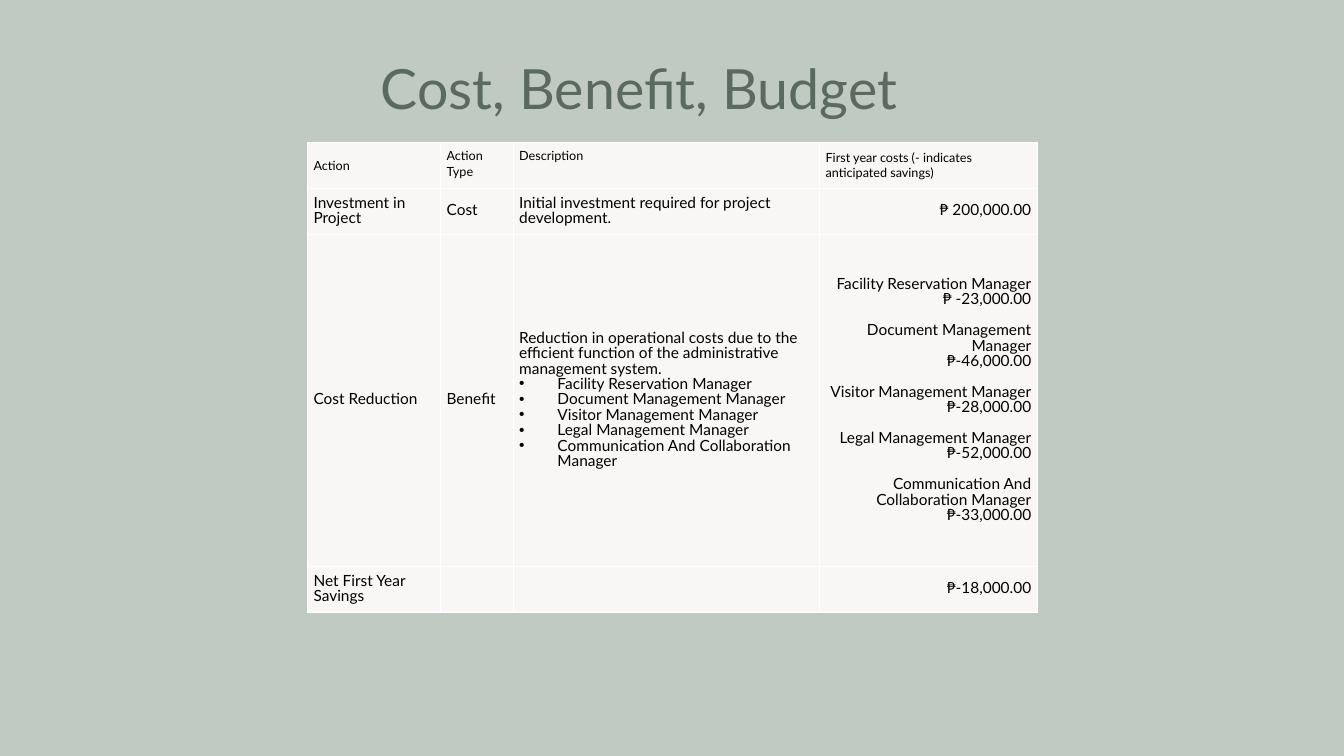
import lxml.etree
import pptx
import pptx.dml.color
import pptx.enum.text
import pptx.oxml.ns
import pptx.util

Inches, Pt = pptx.util.Inches, pptx.util.Pt
ALIGN = pptx.enum.text.PP_ALIGN
ANCHOR = pptx.enum.text.MSO_ANCHOR

TITLE = "Cost, Benefit, Budget"
HEADERS = ["Action", "Action Type", "Description",
           "First year costs (- indicates anticipated savings)"]
SAVINGS = [
    ("Facility Reservation Manager", "₱ -23,000.00"),
    ("Document Management Manager", "₱-46,000.00"),
    ("Visitor Management Manager", "₱-28,000.00"),
    ("Legal Management Manager", "₱-52,000.00"),
    ("Communication And Collaboration Manager", "₱-33,000.00"),
]
REDUCTION = ("Reduction in operational costs due to the efficient function "
             "of the administrative management system.")
MANAGERS = [name for name, amount in SAVINGS]
AMOUNTS = [line for saving in SAVINGS for line in saving]
# Each cell is a list of paragraphs.
ROWS = [
    [[header] for header in HEADERS],
    [["Investment in Project"], ["Cost"],
     ["Initial investment required for project development."], ["₱ 200,000.00"]],
    [["Cost Reduction"], ["Benefit"], [REDUCTION] + MANAGERS, AMOUNTS],
    [["Net First Year Savings"], [], [], ["₱-18,000.00"]],
]
COLUMN_WIDTHS = [1.32, 0.72, 3.04, 2.16]
ROW_HEIGHTS = [0.46, 0.46, 3.29, 0.46]
DESCRIPTION, COSTS = 2, 3
TABLE_LEFT, TABLE_TOP = 3.05, 1.41
CELL_INSET, BULLET_INDENT = 0.06, 0.38

THEME = {
    "font": "Lato", "background": "C0C9C2", "title": "5B6A5E",
    "text": "000000", "cell": "F8F7F6", "border": "FFFFFF",
    "title_size": 39.6, "header_size": 9, "body_size": 11, "line": 11,
}


def rgb(name):
    return pptx.dml.color.RGBColor.from_string(THEME[name])


def format_runs(para, size, color):
    for span in para.runs:
        span.font.name = THEME["font"]
        span.font.size = Pt(THEME[size])
        span.font.bold = False
        span.font.color.rgb = rgb(color)


def add_child(parent, tag, **attributes):
    return lxml.etree.SubElement(parent, pptx.oxml.ns.qn(tag), **attributes)


def add_bullet(para):
    properties = para._p.get_or_add_pPr()
    indent = Inches(BULLET_INDENT)
    properties.set("marL", str(indent))
    properties.set("indent", str(-indent))
    add_child(properties, "a:buFont", typeface="Arial")
    add_child(properties, "a:buChar", char="•")


def style_cell(cell):
    """Give the cell its insets, white borders and fill."""
    cell.margin_left = cell.margin_right = Inches(CELL_INSET)
    cell.margin_top = cell.margin_bottom = Inches(CELL_INSET)
    properties = cell._tc.get_or_add_tcPr()
    for side in ("a:lnL", "a:lnR", "a:lnT", "a:lnB"):
        line = add_child(properties, side, w=str(Pt(1)))
        add_child(add_child(line, "a:solidFill"), "a:srgbClr", val=THEME["border"])
    cell.fill.solid()
    cell.fill.fore_color.rgb = rgb("cell")


def write_cell(cell, lines, row, column):
    cell.text_frame.text = "\n".join(lines)
    top_aligned = row == 0 and column in (1, DESCRIPTION)
    cell.vertical_anchor = ANCHOR.TOP if top_aligned else ANCHOR.MIDDLE
    for index, para in enumerate(cell.text_frame.paragraphs):
        para.line_spacing = Pt(THEME["line"])
        if column == COSTS and row > 0:
            para.alignment = ALIGN.RIGHT
            if index and index % 2 == 0:
                para.space_before = Pt(THEME["line"])
        elif column == DESCRIPTION and index:
            add_bullet(para)
        format_runs(para, "body_size" if row else "header_size", "text")


def add_title(page):
    box = page.shapes.add_textbox(Inches(3.68), Inches(0.55), Inches(5.97), Inches(0.72))
    frame = box.text_frame
    frame.word_wrap = True
    frame.vertical_anchor = ANCHOR.MIDDLE
    frame.text = TITLE
    para = frame.paragraphs[0]
    para.line_spacing = 0.9
    format_runs(para, "title_size", "title")


def add_budget_table(page):
    table = page.shapes.add_table(
        len(ROWS), len(COLUMN_WIDTHS), Inches(TABLE_LEFT), Inches(TABLE_TOP),
        Inches(sum(COLUMN_WIDTHS)), Inches(sum(ROW_HEIGHTS))).table
    table.first_row = table.horz_banding = False
    for column, width in zip(table.columns, COLUMN_WIDTHS):
        column.width = Inches(width)
    for row, height in zip(table.rows, ROW_HEIGHTS):
        row.height = Inches(height)
    for r, cells in enumerate(ROWS):
        for c, lines in enumerate(cells):
            style_cell(table.cell(r, c))
            write_cell(table.cell(r, c), lines, r, c)


def main():
    deck = pptx.Presentation()
    deck.slide_width, deck.slide_height = Inches(13.33), Inches(7.5)
    page = deck.slides.add_slide(deck.slide_layouts[6])
    page.background.fill.solid()
    page.background.fill.fore_color.rgb = rgb("background")
    add_title(page)
    add_budget_table(page)
    deck.save("out.pptx")


if __name__ == "__main__":
    main()
